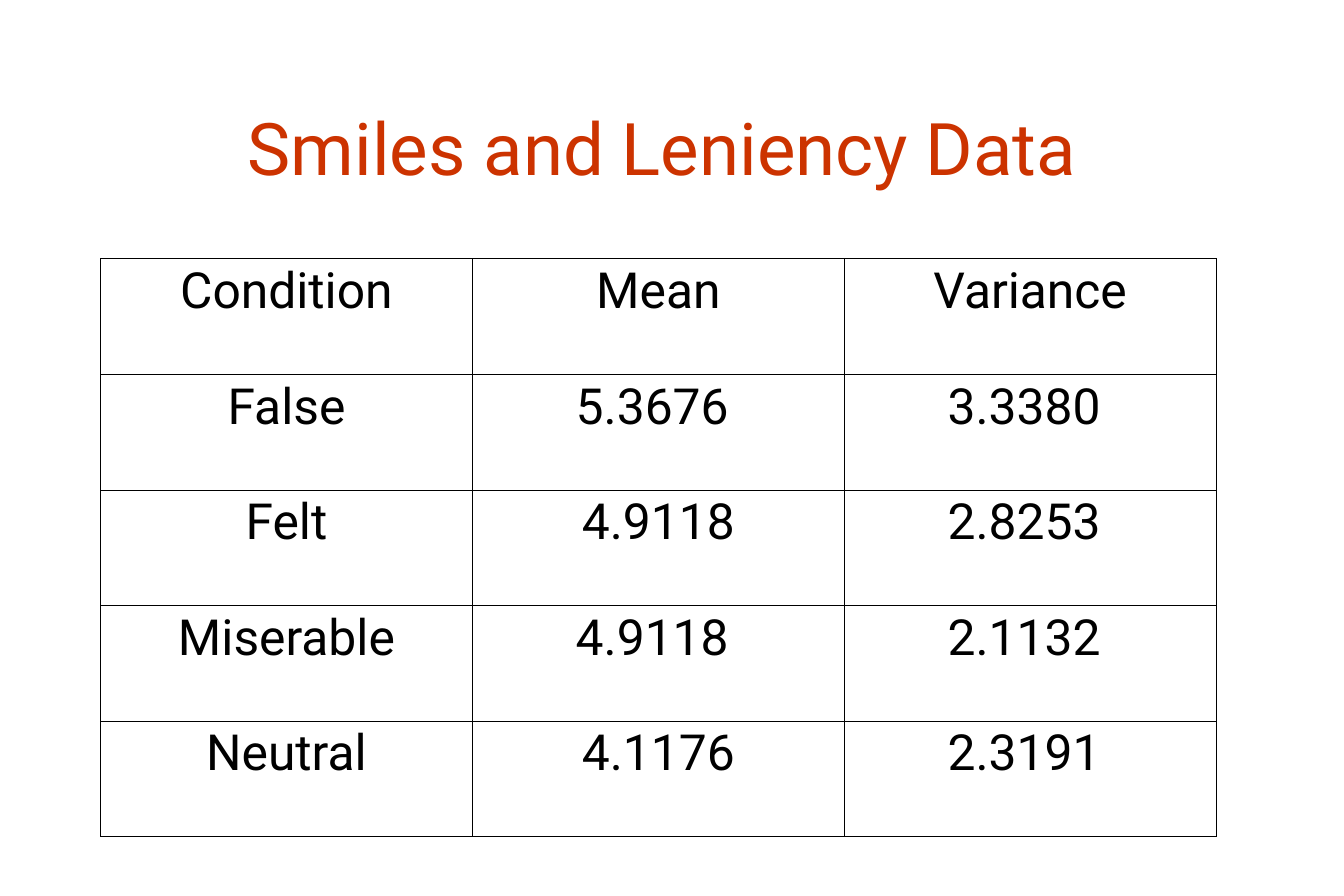
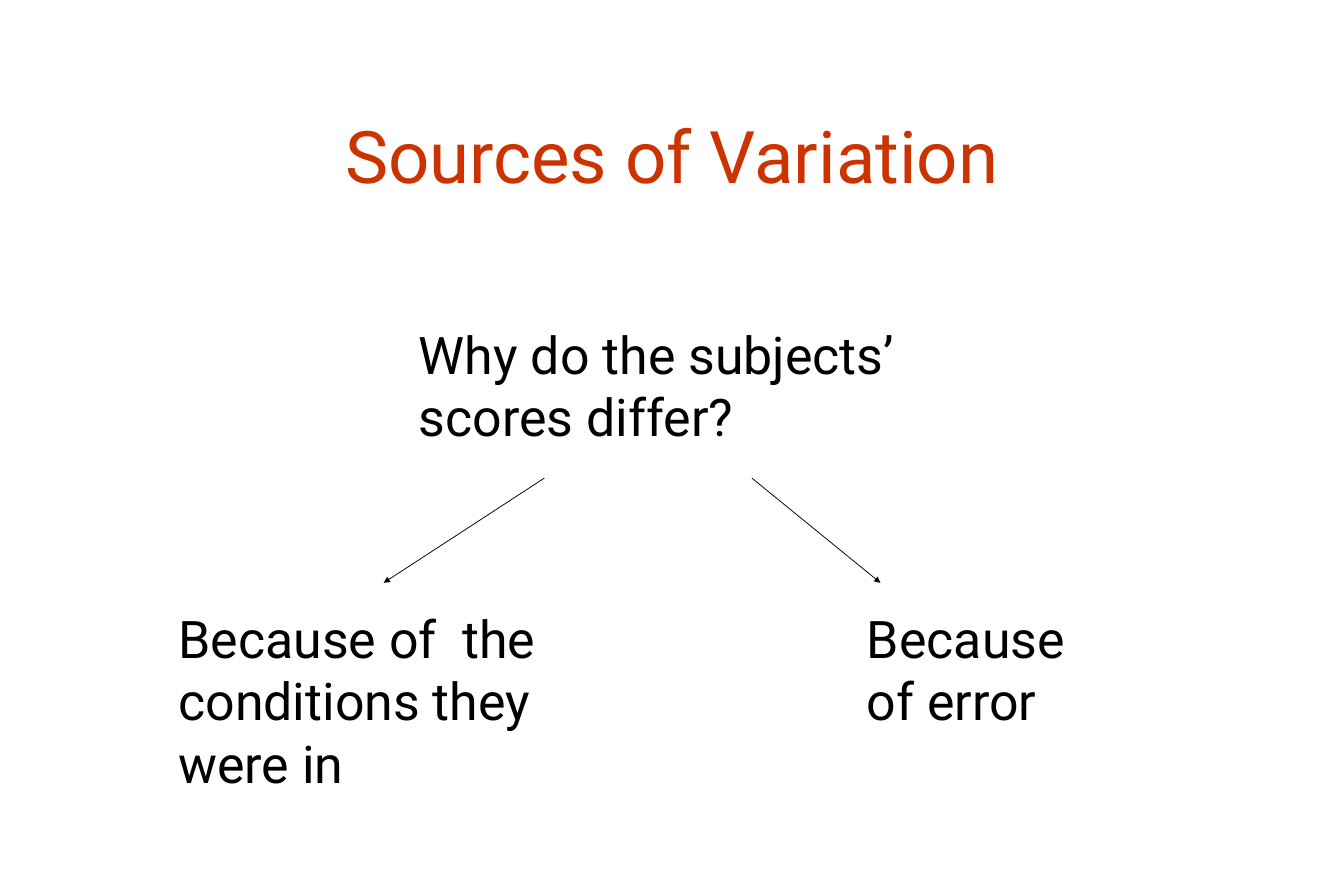
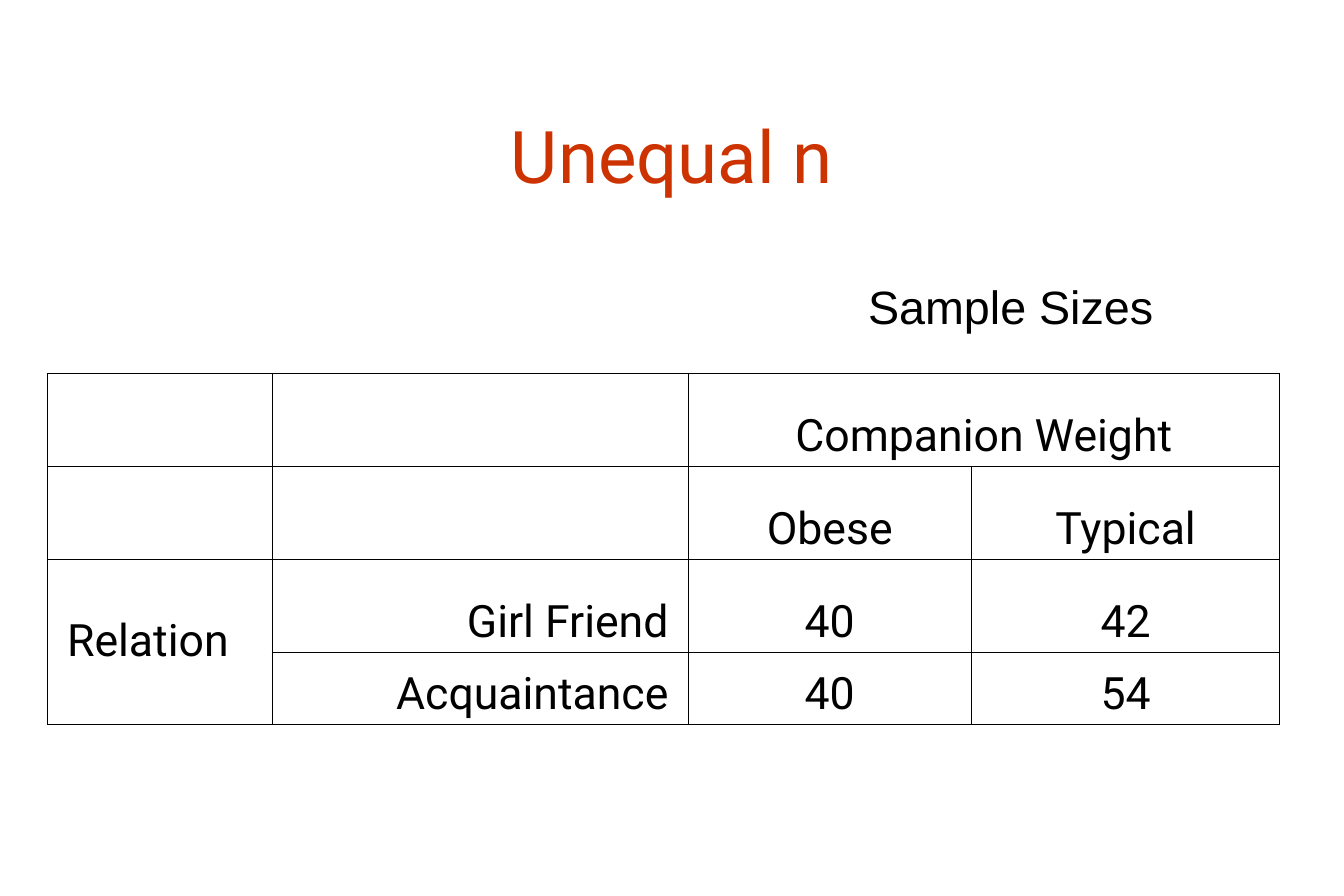
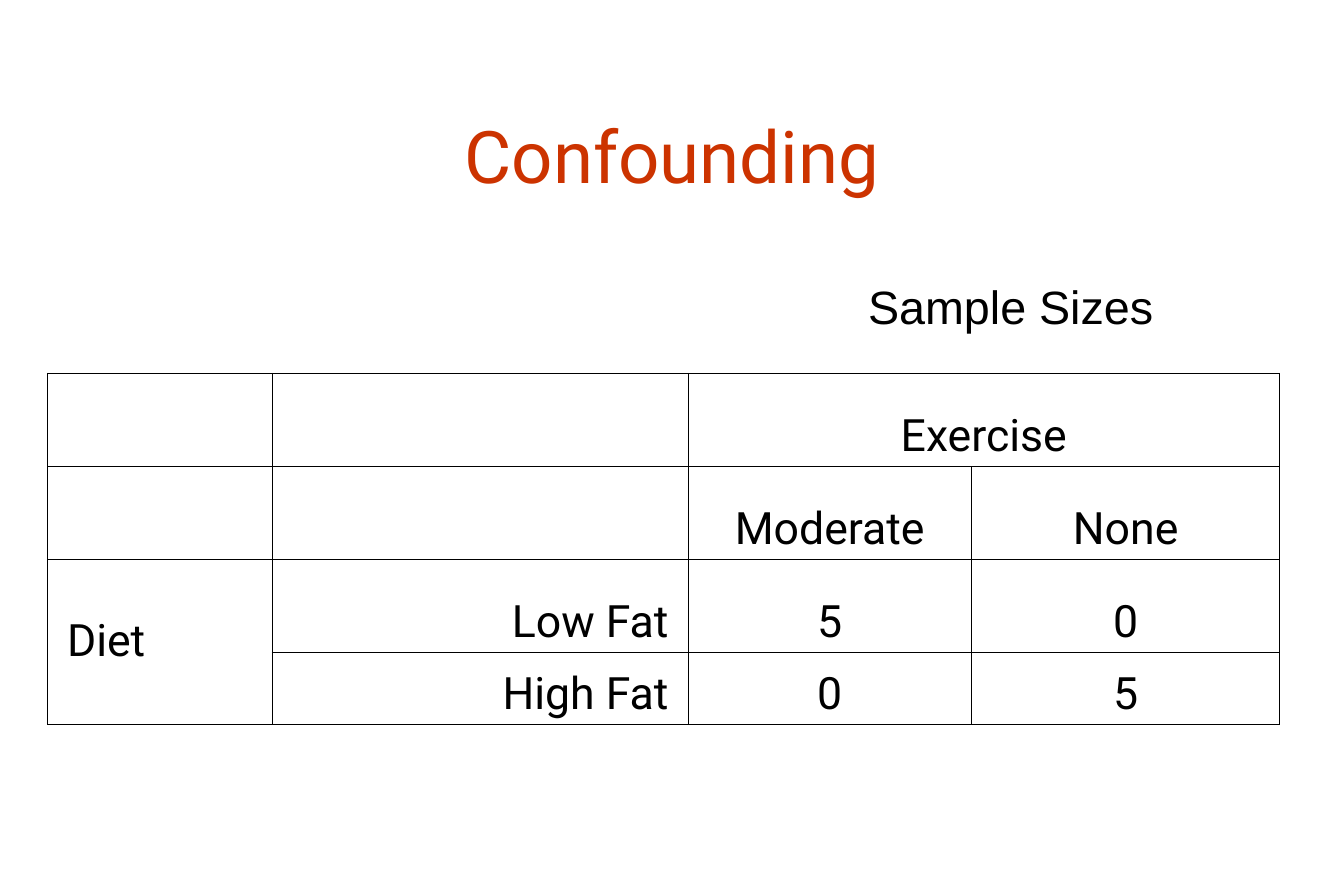
from lxml import etree
from pptx import Presentation
from pptx.dml.color import RGBColor
from pptx.enum import shapes, text
from pptx.oxml import ns
from pptx.util import Pt

# Shared style
COLORS = {"title": "CC3300", "ink": "000000"}
FONT, LABEL_FONT = "Roboto", "Arial"
TITLE_BOX = (97, 77, 1102, 144)
OUTER_LINE, INNER_LINE = 1.08, 0.45
LEFT, CENTER, RIGHT = text.PP_ALIGN.LEFT, text.PP_ALIGN.CENTER, text.PP_ALIGN.RIGHT
TOP, MIDDLE, BOTTOM = text.MSO_ANCHOR.TOP, text.MSO_ANCHOR.MIDDLE, text.MSO_ANCHOR.BOTTOM

# Content
LENIENCY = [
    ("Condition", "Mean", "Variance"),
    ("False", "5.3676 ", "3.3380 "),
    ("Felt", "4.9118", "2.8253 "),
    ("Miserable", "4.9118 ", "2.1132 "),
    ("Neutral", "4.1176", "2.3191 "),
]
CAUSES = [  # words, box
    ("Why do the subjects’ scores differ?", (386, 302, 586, 138)),
    ("Because of  the conditions they were in", (154, 576, 386, 198)),
    ("Because of error", (818, 576, 278, 138)),
]
ARROWS = [(525, 461, 370, 562), (725, 461, 849, 562)]
SAMPLE_SIZES = {
    "Unequal n": [
        ("", "", "Companion Weight", ""),
        ("", "", "Obese", "Typical"),
        ("Relation", "Girl Friend", "40", "42"),
        ("", "Acquaintance", "40", "54"),
    ],
    "Confounding": [
        ("", "", "Exercise", ""),
        ("", "", "Moderate", "None"),
        ("Diet", "Low Fat", "5", "0"),
        ("", "High Fat", "0", "5"),
    ],
}
SIZE_COLS, SIZE_ROWS = (216, 401.3, 273.6, 297.1), (89.7, 89.5, 89.7, 69.3)
SIZE_MERGES = [((0, 2), (0, 3)), ((2, 0), (3, 0))]
SIZE_ALIGN = (LEFT, RIGHT, CENTER, CENTER)


def points(*values):
    return [Pt(v) for v in values]


def set_text(tf, words, size, color="ink", font=FONT, align=LEFT):
    tf.text = words
    p = tf.paragraphs[0]
    p.alignment = align
    for r in p.runs:
        r.font.name, r.font.size = font, Pt(size)
        r.font.color.rgb = RGBColor.from_string(COLORS[color])


def set_margins(box, x, y):
    box.margin_left = box.margin_right = Pt(x)
    box.margin_top = box.margin_bottom = Pt(y)


def add_slide(prs, title, box=TITLE_BOX):
    s = prs.slides.add_slide(prs.slide_layouts[5])
    sp = s.shapes.title
    sp.left, sp.top, sp.width, sp.height = points(*box)
    tf = sp.text_frame
    set_margins(tf, 12, 6)
    tf.vertical_anchor, tf.auto_size = MIDDLE, text.MSO_AUTO_SIZE.NONE
    set_text(tf, title, 70, "title", align=CENTER)
    return s


def add_text(s, words, box, size=50, font=FONT):
    tf = s.shapes.add_textbox(*points(*box)).text_frame
    tf.word_wrap, tf.auto_size = True, text.MSO_AUTO_SIZE.SHAPE_TO_FIT_TEXT
    set_margins(tf, 18, 9)
    set_text(tf, words, size, font=font)


def add_arrow(s, ends):
    line = s.shapes.add_connector(shapes.MSO_CONNECTOR.STRAIGHT, *points(*ends))
    line.line.color.rgb = RGBColor.from_string(COLORS["ink"])
    line.line.width = Pt(0.75)
    etree.SubElement(line.line._get_or_add_ln(), ns.qn("a:tailEnd"), type="triangle")
    etree.SubElement(line._element.spPr, ns.qn("a:effectLst"))


def set_borders(cell, outer_edges):
    """Draw left, right, top and bottom lines, heavier on the table's rim."""
    tc_pr = cell._tc.get_or_add_tcPr()
    for i, (side, is_outer) in enumerate(zip("LRTB", outer_edges)):
        width = Pt(OUTER_LINE if is_outer else INNER_LINE)
        ln = etree.Element(ns.qn("a:ln" + side), w=str(int(width)))
        fill = etree.SubElement(ln, ns.qn("a:solidFill"))
        etree.SubElement(fill, ns.qn("a:srgbClr"), val=COLORS["ink"])
        tc_pr.insert(i, ln)


def add_table(s, rows, corner, widths, heights, size, aligns, anchor, merges=()):
    frame = s.shapes.add_table(len(rows), len(widths),
                               *points(*corner, sum(widths), sum(heights)))
    table = frame.table
    table.first_row = table.horz_banding = False
    for col, width in zip(table.columns, widths):
        col.width = Pt(width)
    for row, height in zip(table.rows, heights):
        row.height = Pt(height)
    for start, end in merges:
        table.cell(*start).merge(table.cell(*end))
    for i, row in enumerate(rows):
        for j, words in enumerate(row):
            cell = table.cell(i, j)
            if cell.is_spanned:
                continue
            tall, wide = cell.span_height, cell.span_width
            set_margins(cell, 18.7, 3.6)
            cell.vertical_anchor = MIDDLE if tall > 1 else anchor
            cell.fill.background()
            set_borders(cell, (j == 0, j + wide == len(widths),
                               i == 0, i + tall == len(rows)))
            if words:
                set_text(cell.text_frame, words, size, align=aligns[j])


def main():
    prs = Presentation()
    prs.slide_width, prs.slide_height = points(1296, 864)

    # Means and variances
    s = add_slide(prs, "Smiles and Leniency Data", (62, 72, 1153, 139))
    add_table(s, LENIENCY, (97, 249.7), [358.6] * 3, [111.4] * 5, 48, [CENTER] * 3, TOP)

    # Why scores differ
    s = add_slide(prs, "Sources of Variation")
    for words, box in CAUSES:
        add_text(s, words, box)
    for ends in ARROWS:
        add_arrow(s, ends)

    # Sample size tables
    for title, rows in SAMPLE_SIZES.items():
        s = add_slide(prs, title)
        add_table(s, rows, (46, 360), SIZE_COLS, SIZE_ROWS, 43,
                  SIZE_ALIGN, BOTTOM, SIZE_MERGES)
        add_text(s, "Sample Sizes", (819, 259, 320, 72), 45, LABEL_FONT)

    prs.save("out.pptx")


if __name__ == "__main__":
    main()
